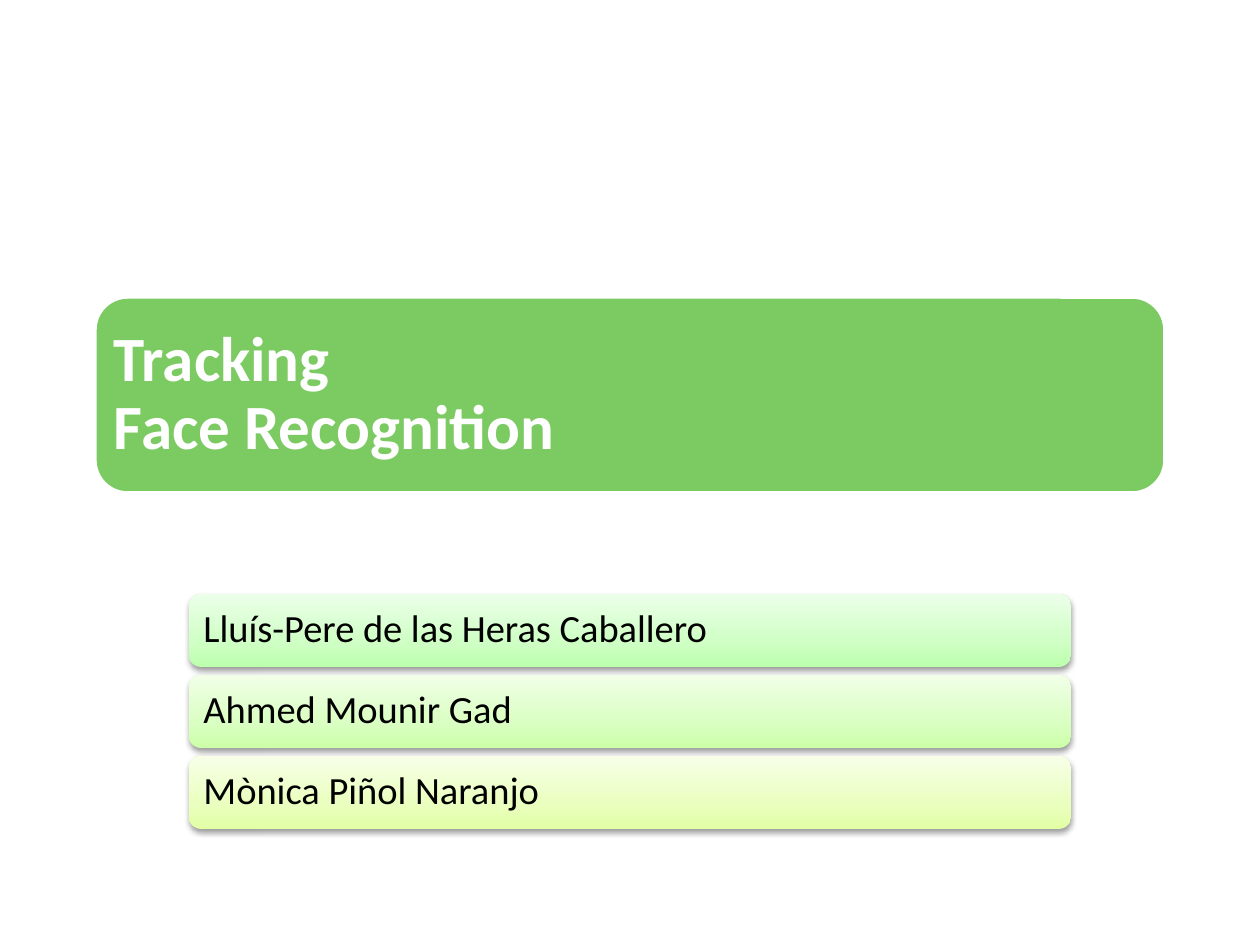
"""Build the title slide with its topic banner and the three author cards."""
from copy import deepcopy

from lxml import etree
from pptx import Presentation
from pptx import util as u
from pptx.dml.color import RGBColor
from pptx.enum import shapes, text
from pptx.oxml import ns

PX = 914400 / 126
COLORS = {"banner": "7CCA62", "white": "FFFFFF", "black": "000000"}
AUTHORS = {
    "Lluís-Pere de las Heras Caballero": ("BCFFAD", "CFFFC5", "ECFFE9"),
    "Ahmed Mounir Gad": ("CCFFA9", "DAFFC2", "F1FFE8"),
    "Mònica Piñol Naranjo": ("E2FFA5", "EAFFBF", "F7FFE7"),
}
STOPS = (0, 0.35, 1)
CARD_TOP, CARD_PITCH = 594, 81


def px(*lengths):
    return [u.Emu(round(length * PX)) for length in lengths]


def rgb(name):
    return RGBColor.from_string(COLORS.get(name, name))


class SlideBuilder:
    def __init__(self, presentation):
        self.slide = presentation.slides.add_slide(presentation.slide_layouts[5])
        self.font_name = "Calibri"

    def set_text(self, shape, content, size, color, bold, inset):
        frame = shape.text_frame
        frame.text = content
        margin = px(inset)[0]
        frame_format = {
            "word_wrap": True,
            "auto_size": text.MSO_AUTO_SIZE.NONE,
            "vertical_anchor": text.MSO_ANCHOR.MIDDLE,
            "margin_left": margin,
            "margin_right": margin,
            "margin_top": margin,
            "margin_bottom": margin,
        }
        paragraph = frame.paragraphs[0]
        paragraph_format = {"alignment": text.PP_ALIGN.LEFT, "line_spacing": 0.9}
        font_format = {"name": self.font_name, "size": u.Pt(size), "bold": bold}
        targets = [(frame, frame_format), (paragraph, paragraph_format)]
        targets += [(run.font, font_format) for run in paragraph.runs]
        for target, values in targets:
            for key, value in values.items():
                setattr(target, key, value)
        for run in paragraph.runs:
            run.font.color.rgb = rgb(color)

    def rounded_box(self, left, top, width, height):
        shape = self.slide.shapes.add_shape(
            shapes.MSO_SHAPE.ROUNDED_RECTANGLE, *px(left, top, width, height)
        )
        shape.shadow.inherit = False
        return shape

    def banner(self, content, box):
        shape = self.rounded_box(*box)
        shape.fill.solid()
        shape.fill.fore_color.rgb = rgb("banner")
        shape.line.color.rgb = rgb("white")
        shape.line.width = u.Pt(2)
        title = self.slide.shapes.title
        for key, value in zip(("left", "top", "width", "height"), px(*box)):
            setattr(title, key, value)
        shape._element.addnext(title._element)
        self.set_text(title, content, 36, "white", True, 19)

    def card(self, content, gradient, box):
        shape = self.rounded_box(*box)
        shape.line.fill.background()
        self.fill_gradient(shape, gradient)
        self.add_shadow(shape)
        self.set_text(shape, content, 22, "black", False, 11)

    def fill_gradient(self, shape, gradient):
        shape.fill.gradient()
        shape.fill.gradient_angle = 90
        stop_list = shape._element.spPr.find(".//" + ns.qn("a:gsLst"))
        stop_list.append(deepcopy(stop_list[0]))
        for stop, position, color in zip(shape.fill.gradient_stops, STOPS, gradient):
            stop.position = position
            stop.color.rgb = rgb(color)

    def add_shadow(self, shape):
        effects = shape._element.spPr.find(ns.qn("a:effectLst"))
        shadow = etree.SubElement(
            effects, ns.qn("a:outerShdw"),
            blurRad="40000", dist="20000", dir="5400000", rotWithShape="0",
        )
        color = etree.SubElement(shadow, ns.qn("a:srgbClr"), val=COLORS["black"])
        etree.SubElement(color, ns.qn("a:alpha"), val="38000")


def main():
    presentation = Presentation()
    presentation.slide_width, presentation.slide_height = px(1260, 945)
    builder = SlideBuilder(presentation)
    builder.banner("Tracking\vFace Recognition", (95, 297, 1070, 196))
    for index, (author, gradient) in enumerate(AUTHORS.items()):
        builder.card(author, gradient, (189, CARD_TOP + index * CARD_PITCH, 882, 73))
    presentation.save("out.pptx")


if __name__ == "__main__":
    main()
